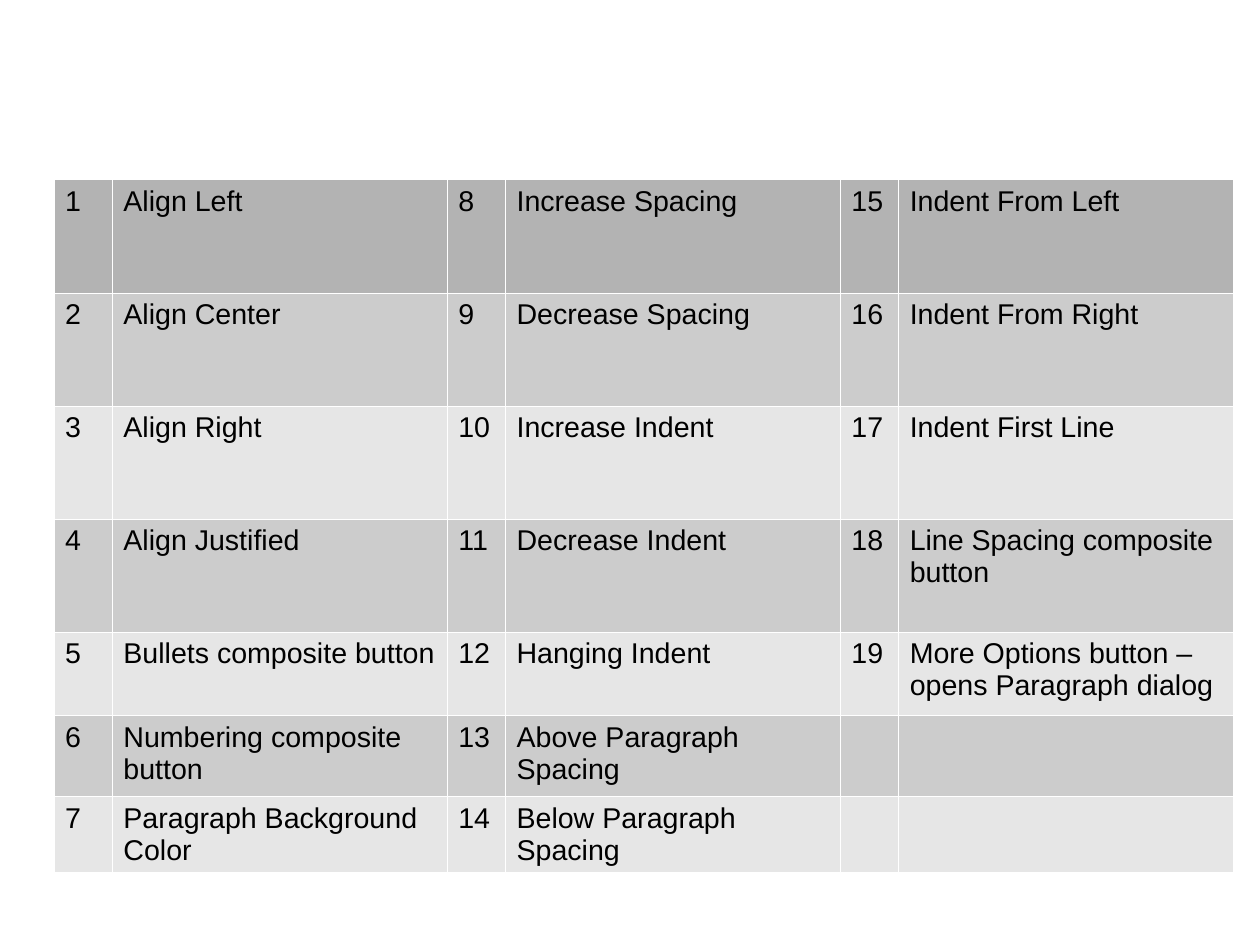
from lxml import etree
from pptx import Presentation
from pptx import util as u
from pptx.dml.color import RGBColor
from pptx.oxml.ns import qn

BLACK = RGBColor(0x00, 0x00, 0x00)
HEADER_GREY = RGBColor(0xB3, 0xB3, 0xB3)
MID_GREY = RGBColor(0xCC, 0xCC, 0xCC)
LIGHT_GREY = RGBColor(0xE6, 0xE6, 0xE6)
BORDER_WHITE = RGBColor(0xFF, 0xFF, 0xFF)

# Buttons in numbered order, running down each pair of columns
buttons = [
    "Align Left", "Align Center", "Align Right", "Align Justified",
    "Bullets composite button", "Numbering composite button",
    "Paragraph Background Color",
    "Increase Spacing", "Decrease Spacing", "Increase Indent",
    "Decrease Indent", "Hanging Indent", "Above Paragraph Spacing",
    "Below Paragraph Spacing",
    "Indent From Left", "Indent From Right", "Indent First Line",
    "Line Spacing composite button",
    "More Options button – opens Paragraph dialog",
]
column_widths = [0.51, 2.93] * 3
row_heights = [0.99] * 4 + [0.73, 0.71, 0.66]


def add_borders(cell):
    properties = cell._tc.get_or_add_tcPr()
    for position, side in enumerate(("a:lnL", "a:lnR", "a:lnT", "a:lnB")):
        border = etree.Element(qn(side), w=str(u.Pt(0.06)))
        fill = etree.SubElement(border, qn("a:solidFill"))
        etree.SubElement(fill, qn("a:srgbClr"), val=str(BORDER_WHITE))
        properties.insert(position, border)


# Slide of 28 by 21 cm
prs = Presentation()
prs.slide_width = u.Inches(28 / 2.54)
prs.slide_height = u.Inches(21 / 2.54)
slide = prs.slides.add_slide(prs.slide_layouts[6])

# Table grid
legend = slide.shapes.add_table(
    len(row_heights), len(column_widths), u.Inches(0.47), u.Inches(1.57),
    u.Inches(sum(column_widths)), u.Inches(sum(row_heights))).table
for column, width in zip(legend.columns, column_widths):
    column.width = u.Inches(width)
for row, height in zip(legend.rows, row_heights):
    row.height = u.Inches(height)

# Numbers and button names
for index, button in enumerate(buttons):
    pair, row = divmod(index, len(row_heights))
    legend.cell(row, 2 * pair).text = str(index + 1)
    legend.cell(row, 2 * pair + 1).text = button

# Fills, borders and type
for row_index, row in enumerate(legend.rows):
    for cell in row.cells:
        cell.fill.solid()
        if row_index == 0:
            cell.fill.fore_color.rgb = HEADER_GREY
        else:
            cell.fill.fore_color.rgb = MID_GREY if row_index % 2 else LIGHT_GREY
        add_borders(cell)
        for run in cell.text_frame.paragraphs[0].runs:
            run.font.name = "Arial"
            run.font.size = u.Pt(18)
            run.font.bold = False
            run.font.color.rgb = BLACK

prs.save("out.pptx")
